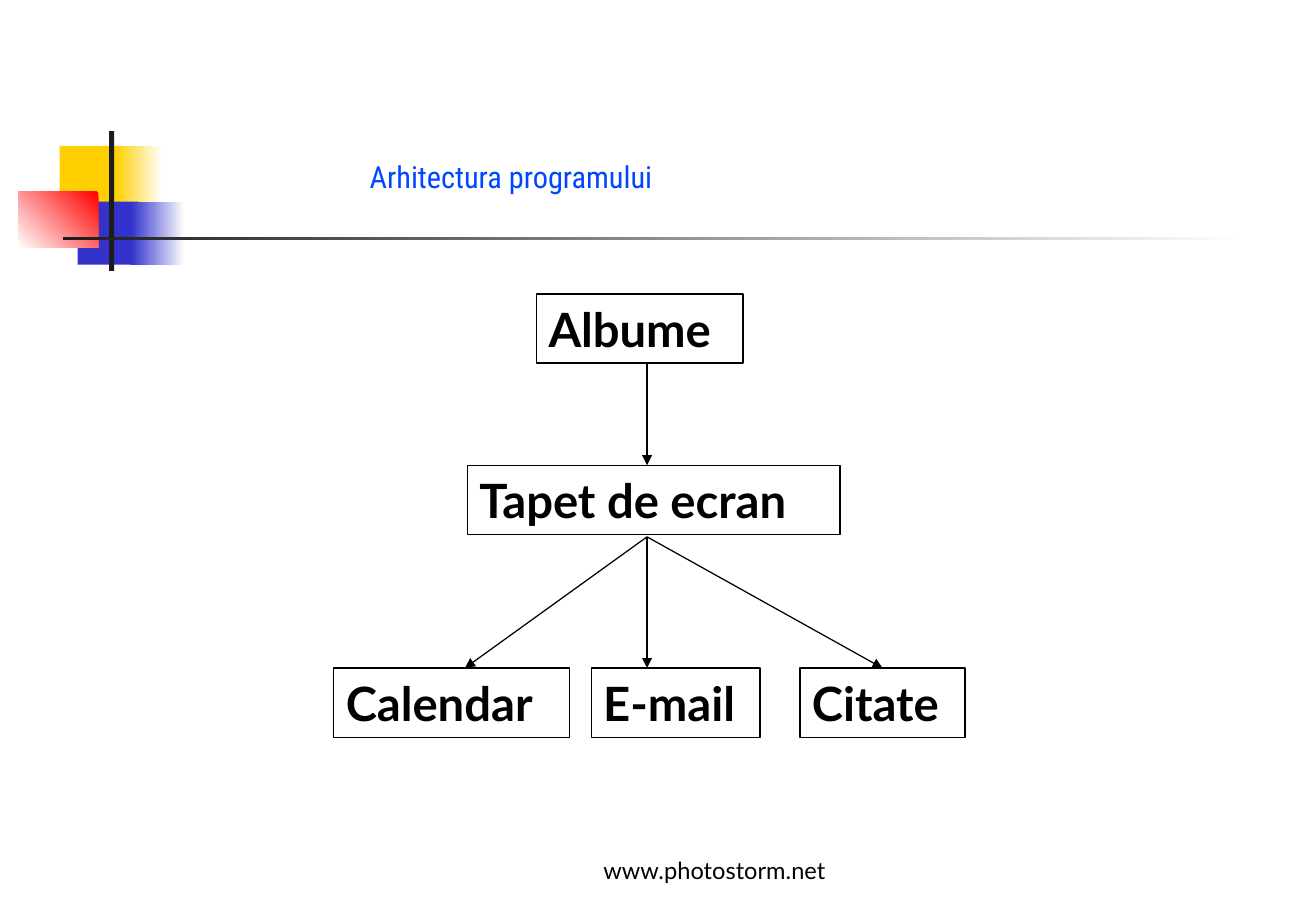
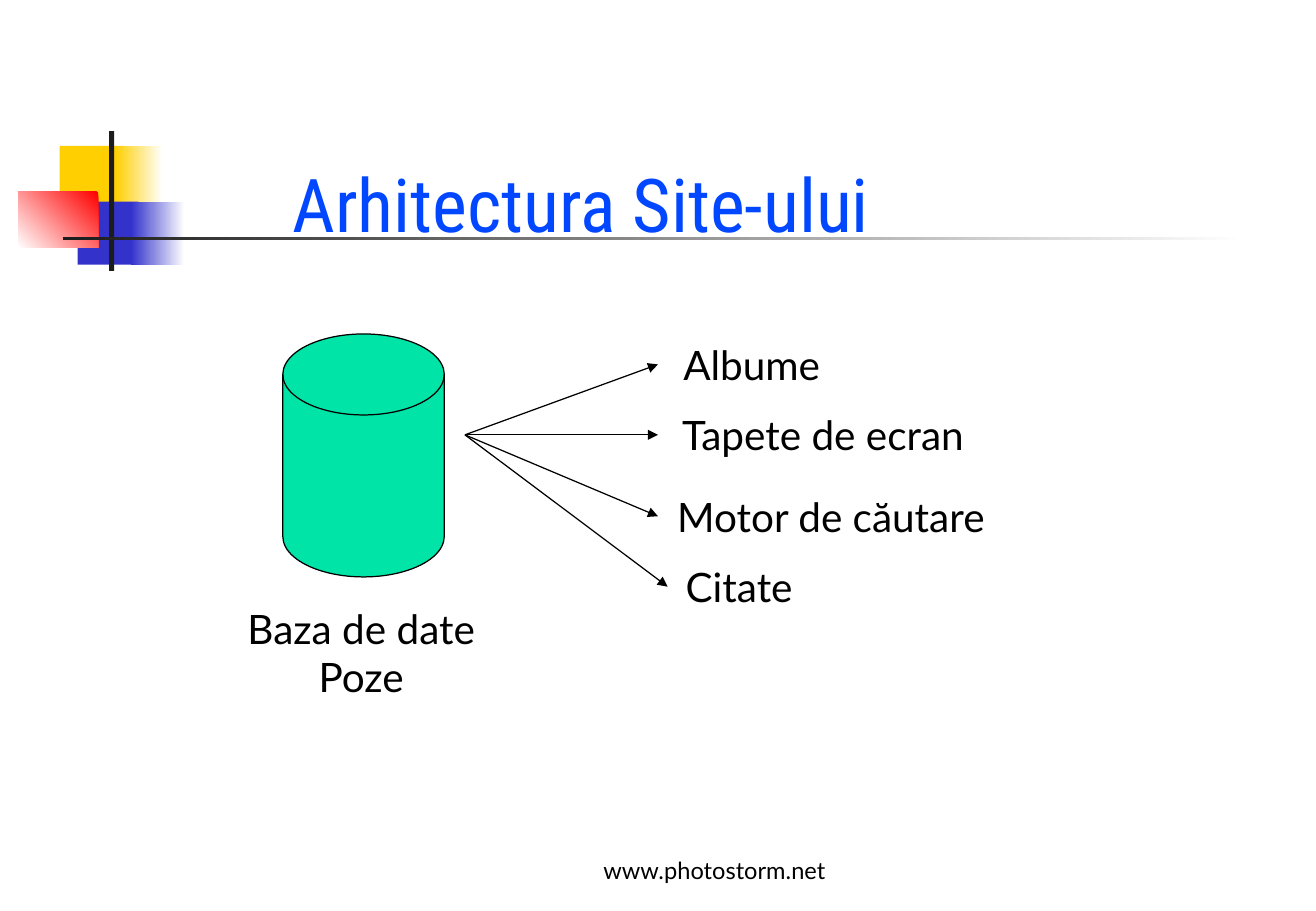
from lxml.etree import SubElement
from pptx import Presentation
from pptx.dml.color import RGBColor
from pptx.enum.shapes import MSO_CONNECTOR, MSO_SHAPE
from pptx.enum.text import MSO_ANCHOR, PP_ALIGN
from pptx.oxml.ns import qn
from pptx.util import Inches, Pt

WIDTH, HEIGHT = 10.84, 7.5
WHITE = RGBColor(0xFF, 0xFF, 0xFF)
BLACK = RGBColor(0, 0, 0)
INK = RGBColor(0x1C, 0x1C, 0x1C)
YELLOW = RGBColor(0xFF, 0xCF, 0x01)
INDIGO = RGBColor(0x33, 0x33, 0xCC)
RED = RGBColor(0xFF, 0, 0)
GREEN = RGBColor(0, 0xE4, 0xA8)
TITLE_BLUE = RGBColor(0, 0x47, 0xFF)

TITLE = {"name": "Roboto Condensed", "color": TITLE_BLUE}
BODY = {"name": "Lato", "size": Pt(24), "color": BLACK}
NODE = {**BODY, "size": Pt(28), "bold": True}
FOOTER = {**BODY, "size": Pt(14)}
LINE_WIDTH = Pt(0.75)

# Colours, counter-clockwise gradient angle (None: plain), left, top, width, height
DECORATION = [
    ([YELLOW], None, 0.49, 1.2, 0.52, 0.52),
    ([WHITE, YELLOW], 180, 0.95, 1.2, 0.39, 0.52),
    ([INDIGO], None, 0.64, 1.66, 0.5, 0.52),
    ([WHITE, INDIGO], 180, 1.08, 1.66, 0.44, 0.52),
    ([RED, WHITE], 225, 0.15, 1.58, 0.66, 0.46),
    ([INK], None, 0.9, 1.08, 0.04, 1.15),
    ([WHITE, INK], 180, 0.52, 1.95, 9.75, 0.03),
]

NODE_HEIGHT = 0.57
ROWS = (2.42, 3.83, 5.5)
# Text, row, left, width
NODES = [
    ("Albume", 0, 4.42, 1.7),
    ("Tapet de ecran", 1, 3.85, 3.07),
    ("Calendar", 2, 2.75, 1.94),
    ("E-mail", 2, 4.87, 1.39),
    ("Citate", 2, 6.59, 1.36),
]
TRUNK = 5.33

# Text, left, top, width, arrow tip
SECTIONS = [
    ("Albume", 5.53, 2.75, 1.41, (5.42, 3)),
    ("Tapete de ecran", 5.52, 3.33, 2.72, (5.42, 3.58)),
    ("Motor de căutare", 5.48, 4, 2.91, (5.42, 4.25)),
    ("Citate", 5.55, 4.58, 1.11, (5.5, 4.83)),
]
SOURCE = (3.83, 3.58)


def inches(*lengths):
    return [Inches(length) for length in lengths]


def write(shape, text, style, align=PP_ALIGN.LEFT, anchor=MSO_ANCHOR.TOP):
    tf = shape.text_frame
    tf.word_wrap = True
    tf.vertical_anchor = anchor
    tf.text = text
    for p in tf.paragraphs:
        p.alignment = align
        for key, value in style.items():
            if key == "color":
                p.font.color.rgb = value
            else:
                setattr(p.font, key, value)


def add_text(shapes, box, text, style, **layout):
    write(shapes.add_textbox(*inches(*box)), text, style, **layout)


def add_shape(shapes, kind, box, colors=(), angle=None, outlined=False):
    """Add a shape with no fill, a plain fill or a two-colour gradient."""
    sp = shapes.add_shape(kind, *inches(*box))
    sp.shadow.inherit = False
    if angle is not None:
        sp.fill.gradient()
        sp.fill.gradient_angle = angle
        for stop, color in zip(sp.fill.gradient_stops, colors):
            stop.color.rgb = color
    elif colors:
        sp.fill.solid()
        sp.fill.fore_color.rgb = colors[0]
    else:
        sp.fill.background()
    if outlined:
        sp.line.color.rgb = BLACK
        sp.line.width = LINE_WIDTH
    else:
        sp.line.fill.background()
    return sp


def add_arrow(shapes, start, end, target=None):
    """Draw an arrow; a target is joined at the middle of its top side."""
    c = shapes.add_connector(MSO_CONNECTOR.STRAIGHT, *inches(*start, *end))
    if target is not None:
        c.end_connect(target, 0)
    c.line.color.rgb = BLACK
    c.line.width = LINE_WIDTH
    props = c.element.spPr
    SubElement(props.find(qn("a:ln")), qn("a:tailEnd"), type="triangle")
    SubElement(props, qn("a:effectLst"))


def add_slide(prs, title, title_size, title_width):
    s = prs.slides.add_slide(prs.slide_layouts[6])
    for colors, angle, *box in DECORATION:
        add_shape(s.shapes, MSO_SHAPE.RECTANGLE, box, colors, angle)
    add_text(s.shapes, (1.25, 1.25, title_width, 0.58), title,
             {**TITLE, "size": Pt(title_size)}, align=PP_ALIGN.CENTER)
    add_text(s.shapes, (4.17, 6.83, 3.43, 0.5), "www.photostorm.net", FOOTER,
             align=PP_ALIGN.CENTER, anchor=MSO_ANCHOR.BOTTOM)
    return s


def program_slide(prs):
    shapes = add_slide(prs, "Arhitectura programului", 18, 5.92).shapes
    nodes = {}
    for text, row, left, width in NODES:
        box = (left, ROWS[row], width, NODE_HEIGHT)
        nodes[text] = add_shape(shapes, MSO_SHAPE.RECTANGLE, box, outlined=True)
        write(nodes[text], text, NODE)
    add_arrow(shapes, (TRUNK, 3), (TRUNK, ROWS[1]))
    for tip, target in ((3.83, None), (TRUNK, None), (7.25, nodes["Citate"])):
        add_arrow(shapes, (TRUNK, 4.42), (tip, ROWS[2]), target)


def site_slide(prs):
    s = add_slide(prs, "Arhitectura Site-ului", 44, 7.08)
    shapes = s.shapes.add_group_shape().shapes
    add_shape(shapes, MSO_SHAPE.FLOWCHART_MAGNETIC_DISK, (2.33, 2.75, 1.33, 2),
              [GREEN], outlined=True)
    add_text(shapes, (1.87, 4.92, 2.21, 0.9), "Baza de date\nPoze", BODY,
             align=PP_ALIGN.CENTER)
    for text, left, top, width, tip in SECTIONS:
        add_arrow(shapes, SOURCE, tip)
        add_text(shapes, (left, top, width, 0.5), text, BODY)


def main():
    prs = Presentation()
    prs.slide_width, prs.slide_height = inches(WIDTH, HEIGHT)
    program_slide(prs)
    site_slide(prs)
    prs.save("out.pptx")


if __name__ == "__main__":
    main()
